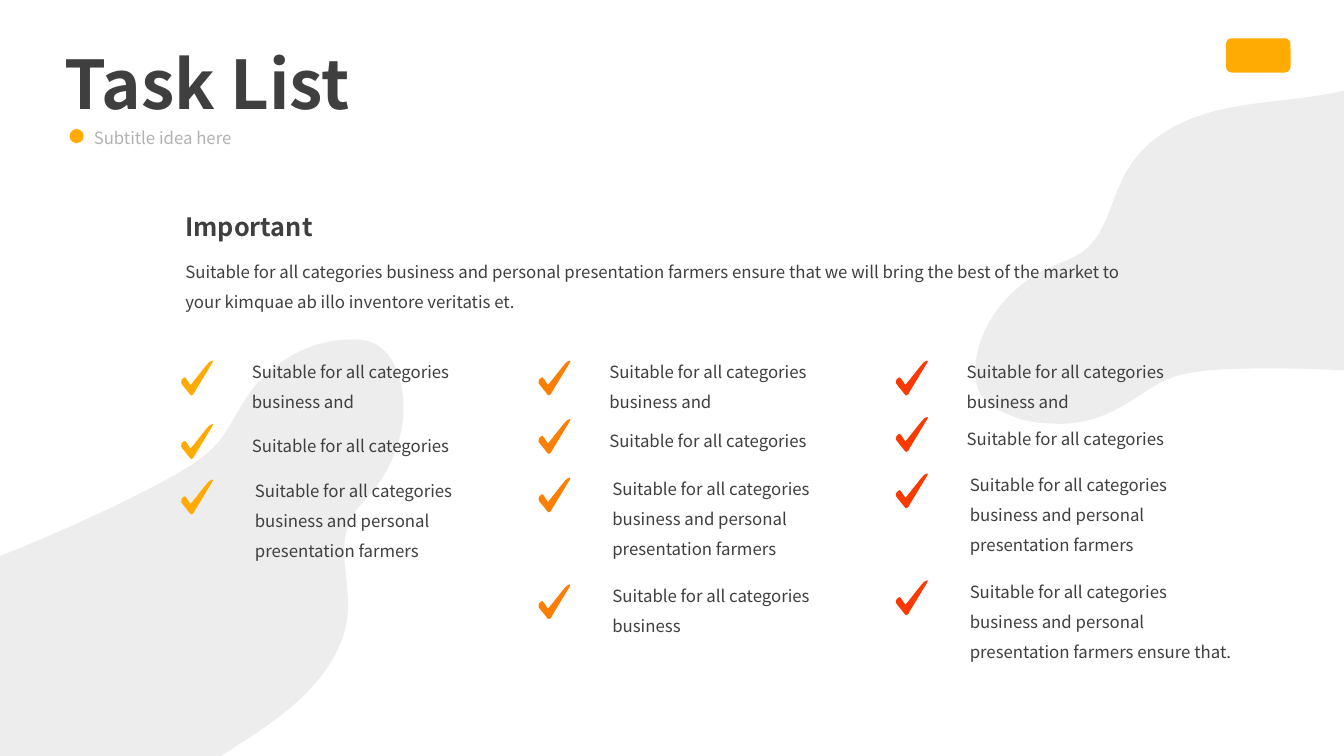
"""Build the Task List slide: three columns of ticked tasks over soft grey waves."""
from pptx import Presentation
from pptx.dml.color import RGBColor
from pptx.enum.shapes import MSO_SHAPE
from pptx.enum.text import MSO_ANCHOR, MSO_AUTO_SIZE, PP_ALIGN
from pptx.util import Inches, Pt
from lxml import etree

OVAL, BADGE = MSO_SHAPE.OVAL, MSO_SHAPE.ROUNDED_RECTANGLE
TOP, MIDDLE = MSO_ANCHOR.TOP, MSO_ANCHOR.MIDDLE
FIXED, GROW = MSO_AUTO_SIZE.NONE, MSO_AUTO_SIZE.SHAPE_TO_FIT_TEXT
LEFT = PP_ALIGN.LEFT

THEME = {
    "font": "Noto Sans CJK SC",
    "ink": "3F3F3F", "muted": "B2B2B2", "wave": "A6A6A6",
    "amber": "FFAB03", "orange": "FC7F03", "red": "FC3903",
    "title": 48, "heading": 18, "body": 12,
}

LEFT_WAVE = [
    (3.01, 3.47), (2.8, 3.56, 2.6, 3.72, 2.47, 3.91),
    (2.36, 4.06, 2.29, 4.23, 2.18, 4.37), (2.03, 4.55, 1.83, 4.66, 1.63, 4.77),
    (0.73, 5.25, -0.22, 5.62, -1.19, 5.96), (-1.57, 6.09, -1.96, 6.23, -2.28, 6.48),
    (-2.55, 6.74), (-1.91, 8.18),
    (1.38, 9.02), (1.23, 8.62, 1.44, 8.17, 1.74, 7.86),
    (2.04, 7.56, 2.43, 7.37, 2.77, 7.11), (3.11, 6.85, 3.42, 6.5, 3.45, 6.07),
    (3.47, 5.76, 3.34, 5.43, 3.48, 5.15), (3.53, 5.05, 3.62, 4.96, 3.7, 4.87),
    (3.98, 4.52, 4.1, 4.02, 3.91, 3.62), (3.88, 3.56, 3.84, 3.5, 3.79, 3.46),
    (3.69, 3.37, 3.55, 3.36, 3.42, 3.37), (3.28, 3.38, 3.14, 3.41, 3.01, 3.47),
]
RIGHT_WAVE = [
    (10.41, 4.2), (10.64, 4.22, 10.88, 4.17, 11.09, 4.05),
    (11.25, 3.97, 11.39, 3.85, 11.56, 3.77), (11.77, 3.68, 12, 3.67, 12.23, 3.66),
    (13.25, 3.63, 14.27, 3.73, 15.28, 3.86), (15.68, 3.91, 16.09, 3.97, 16.49, 3.89),
    (16.85, 3.78), (16.92, 2.2),
    (14.35, -0.03), (14.3, 0.39, 13.92, 0.71, 13.51, 0.85),
    (13.11, 0.98, 12.67, 0.98, 12.25, 1.06), (11.83, 1.13, 11.4, 1.31, 11.18, 1.69),
    (11.02, 1.95, 10.99, 2.3, 10.75, 2.49), (10.65, 2.56, 10.53, 2.6, 10.42, 2.65),
    (10.01, 2.83, 9.69, 3.23, 9.67, 3.67), (9.67, 3.74, 9.68, 3.8, 9.7, 3.86),
    (9.75, 3.99, 9.87, 4.06, 10, 4.11), (10.13, 4.17, 10.27, 4.2, 10.41, 4.2),
]
TICK = [
    (0.29, 0.03), (0.27, 0.04, 0.16, 0.19, 0.1, 0.26), (0.06, 0.2),
    (0.05, 0.19, 0.04, 0.17, 0.03, 0.19), (0.01, 0.21),
    (0, 0.23, 0.01, 0.26, 0.02, 0.26), (0.1, 0.36),
    (0.1, 0.37, 0.12, 0.36, 0.13, 0.35), (0.14, 0.33), (0.31, 0.05),
    (0.32, 0.03, 0.34, 0, 0.29, 0.03),
]

PAIR = "Suitable for all categories business and"
SHORT = "Suitable for all categories"
LONG = "Suitable for all categories business and personal presentation farmers"
COLUMNS = [
    ("amber", [(3.56, PAIR), (4.19, SHORT), (4.74, LONG)]),
    ("orange", [(3.56, PAIR), (4.14, SHORT), (4.72, LONG),
                (5.78, "Suitable for all categories business")]),
    ("red", [(3.56, PAIR), (4.12, SHORT), (4.68, LONG), (5.74, LONG + " ensure that.")]),
]
COLUMN_LEFT, COLUMN_PITCH = 1.79, 3.545

prs = Presentation()
prs.slide_width, prs.slide_height = Inches(13.33), Inches(7.5)
s = prs.slides.add_slide(prs.slide_layouts[0])


def draw(outline, color, x=0, y=0):
    """Draw a closed outline of points and Bézier segments, shifted by x and y."""
    points = [(Inches(seg[i] + x), Inches(seg[i + 1] + y))
              for seg in outline for i in range(0, len(seg), 2)]
    builder = s.shapes.build_freeform(*points[0], scale=1.0)
    builder.add_line_segments(points[1:], close=True)
    sp = builder.convert_to_shape()
    lines = iter(sp._element.xpath(".//a:lnTo"))
    for seg in outline[1:]:
        line = next(lines)
        if len(seg) == 6:
            curve = etree.Element(line.tag.replace("lnTo", "cubicBezTo"))
            line.addprevious(curve)
            for part in (line, next(lines), next(lines)):
                curve.append(part[0])
                part.getparent().remove(part)
    sp.shadow.inherit = False
    sp.fill.solid()
    sp.fill.fore_color.rgb = RGBColor.from_string(THEME[color])
    sp.line.fill.background()
    return sp


def write(text, box, size="body", color="ink", bold=False, spacing=1.5,
          anchor=TOP, fit=GROW, sp=None):
    """Put one paragraph in a placeholder, or in a new text box."""
    sp = sp or s.shapes.add_textbox(0, 0, 0, 0)
    for name, value in zip(("left", "top", "width", "height"), box):
        setattr(sp, name, Inches(value))
    tf = sp.text_frame
    p = tf.paragraphs[0]
    r = p.add_run()
    r.text = text
    formats = [
        (tf, {"word_wrap": True, "auto_size": fit, "vertical_anchor": anchor}),
        (p, {"alignment": LEFT, "line_spacing": spacing, "space_before": Pt(0)}),
        (r.font, {"name": THEME["font"], "size": Pt(THEME[size]), "bold": bold}),
    ]
    for target, values in formats:
        for name, value in values.items():
            setattr(target, name, value)
    r.font.color.rgb = RGBColor.from_string(THEME[color])


for wave in (LEFT_WAVE, RIGHT_WAVE):
    sp = draw(wave, "wave")
    rgb = sp._element.xpath("./p:spPr/a:solidFill/a:srgbClr")[0]
    etree.SubElement(rgb, rgb.tag.replace("srgbClr", "alpha"), val="20000")

for kind, box in ((OVAL, (0.69, 1.28, 0.14, 0.14)), (BADGE, (12.16, 0.38, 0.64, 0.34))):
    sp = s.shapes.add_shape(kind, *map(Inches, box))
    sp.shadow.inherit = False
    sp.fill.solid()
    sp.fill.fore_color.rgb = RGBColor.from_string(THEME["amber"])
    sp.line.fill.background()

write("Task List", (0.54, 0.31, 6.51, 1.13), "title", bold=True, spacing=0.9,
      anchor=MIDDLE, fit=FIXED, sp=s.shapes.title)
write("Subtitle idea here", (0.83, 1.24, 2.4, 0.28), color="muted", spacing=0.9,
      fit=FIXED, sp=s.placeholders[1])
write("Important", (1.74, 2.05, 2.22, 0.4), "heading", bold=True, spacing=1.0, anchor=MIDDLE)
write("Suitable for all categories business and personal presentation farmers ensure that "
      "we will bring the best of the market to your kimquae ab illo inventore veritatis et.",
      (1.74, 2.45, 9.86, 0.67))

for column, (color, tasks) in enumerate(COLUMNS):
    x = COLUMN_LEFT + column * COLUMN_PITCH
    for row, (y, task) in enumerate(tasks):
        draw(TICK, color, x, y)
        indent = 0.61 if row < 2 else 0.64
        rise = 0.02 if task == SHORT else 0.12
        height = 0.37 if task == SHORT else 0.67
        write(task, (x + indent, y - rise, 2.8, height))

prs.save("out.pptx")
